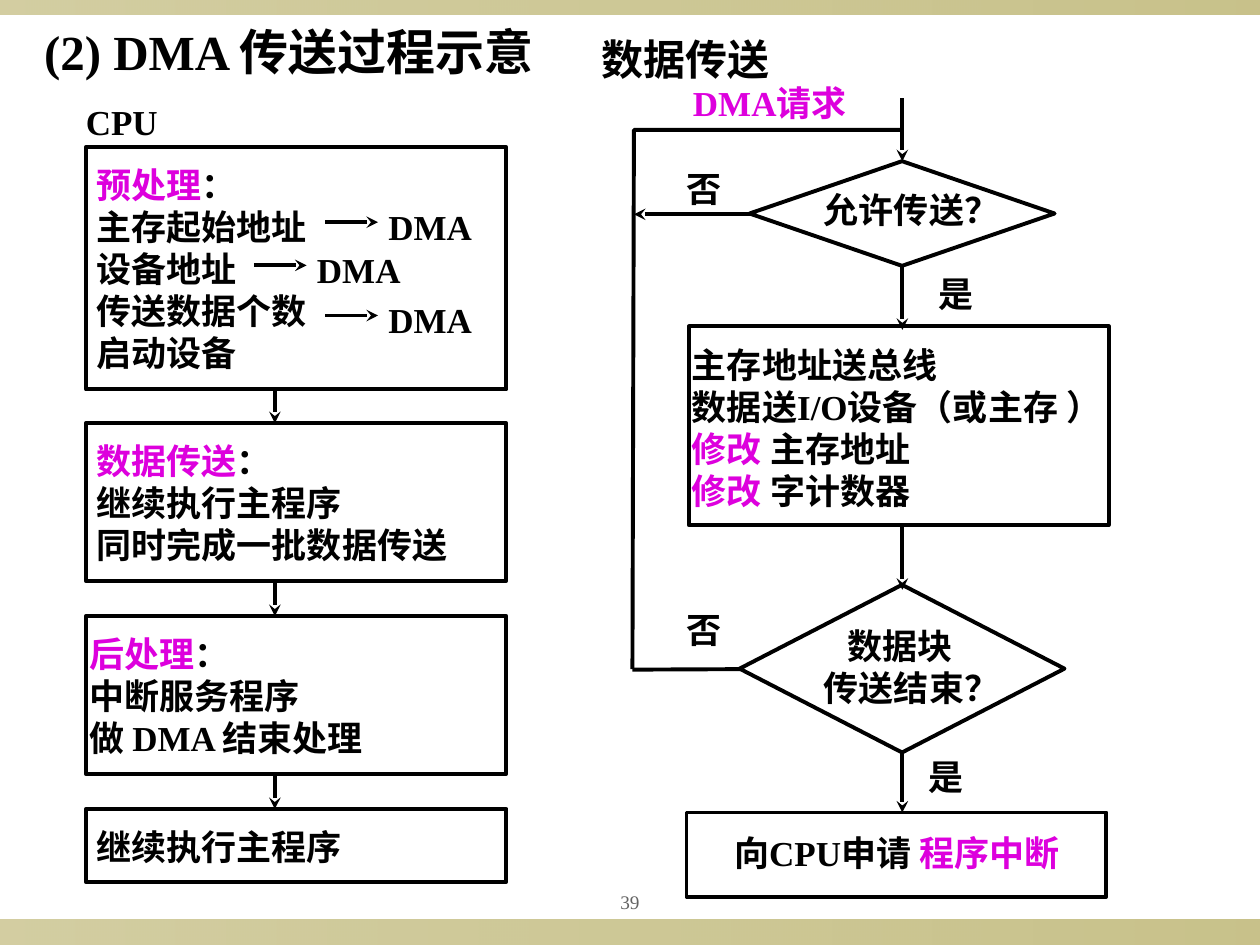
"""Build the slide on the DMA transfer process: CPU steps and transfer flowchart."""
from lxml import etree
from pptx import Presentation
from pptx import util as u
from pptx.dml import color
from pptx.enum import shapes, text
from pptx.oxml import ns

COLORS = {"ink": "000000", "accent": "DD00DD", "page": "636363", "band": "918415"}
FONT = "Times New Roman"
LINE_HEIGHT = 1.12


def rgb(name):
    """Return the named colour."""
    return color.RGBColor.from_string(COLORS[name])


def add_band(slide, top, height):
    """Add a translucent gradient band across the slide."""
    band = slide.shapes.add_shape(
        shapes.MSO_SHAPE.RECTANGLE, 0, u.Cm(top), u.Cm(25.4), u.Cm(height))
    band.shadow.inherit = False
    band.line.fill.background()
    band.fill.gradient()
    band.fill.gradient_angle = 0
    for stop, position in zip(band.fill.gradient_stops, (0, 1)):
        stop.position = position
        stop.color.rgb = rgb("band")
    for tint, alpha in zip(band._element.spPr.iter(ns.qn("a:srgbClr")), ("40000", "50000")):
        etree.SubElement(tint, ns.qn("a:alpha")).set("val", alpha)


def add_text(slide, left, top, width, lines, size=20, height=LINE_HEIGHT,
             ink="ink", bold=True, wrap=False):
    """Add lines of text, with the parts between asterisks in the accent colour."""
    box = slide.shapes.add_textbox(u.Cm(left), u.Cm(top), u.Cm(width), u.Cm(height))
    frame = box.text_frame
    frame.word_wrap = wrap
    frame.auto_size = text.MSO_AUTO_SIZE.SHAPE_TO_FIT_TEXT
    for index, line in enumerate(lines):
        paragraph = frame.add_paragraph() if index else frame.paragraphs[0]
        font = paragraph.font
        font.name, font.size, font.bold = FONT, u.Pt(size), bold
        font.color.rgb = rgb(ink)
        for part, words in enumerate(line.split("*")):
            if words:
                run = paragraph.add_run()
                run.text = words
                if part % 2:
                    run.font.color.rgb = rgb("accent")
    return frame


def style_outline(outline):
    """Give an outline the common stroke."""
    outline.color.rgb = rgb("ink")
    outline.width = u.Pt(2.25)


def add_node(slide, kind, left, top, width, height):
    """Add an unfilled flowchart node."""
    node = slide.shapes.add_shape(kind, u.Cm(left), u.Cm(top), u.Cm(width), u.Cm(height))
    node.shadow.inherit = False
    node.fill.background()
    style_outline(node.line)


def add_arrow(slide, x1, y1, x2, y2):
    """Add a straight arrow."""
    arrow = slide.shapes.add_connector(
        shapes.MSO_CONNECTOR.STRAIGHT, u.Cm(x1), u.Cm(y1), u.Cm(x2), u.Cm(y2))
    style_outline(arrow.line)
    etree.SubElement(arrow.line._get_or_add_ln(), ns.qn("a:tailEnd")).set("type", "stealth")
    etree.SubElement(arrow._element.spPr, ns.qn("a:effectLst"))


def add_route(slide, start, *corners):
    """Add an open line through the given points."""
    builder = slide.shapes.build_freeform(u.Cm(start[0]), u.Cm(start[1]))
    builder.add_line_segments([(u.Cm(x), u.Cm(y)) for x, y in corners], close=False)
    route = builder.convert_to_shape()
    route.shadow.inherit = False
    route.fill.background()
    style_outline(route.line)


def add_cpu_steps(slide):
    """Add the CPU column with its steps and arrows."""
    steps = [
        (2.97, 4.88, 1.7, 4.8, ["*预处理*：", "主存起始地址", "设备地址", "传送数据个数", "启动设备"]),
        (8.53, 3.18, 1.7, 7.6, ["*数据传送*：", "继续执行主程序", "同时完成一批数据传送"]),
        (12.42, 3.18, 1.55, 6.5, ["*后处理*：", "中断服务程序", "做 DMA 结束处理"]),
        (16.31, 1.47, 1.7, 5.5, ["继续执行主程序"]),
    ]
    for top, height, left, width, lines in steps:
        add_node(slide, shapes.MSO_SHAPE.RECTANGLE, 1.73, top, 8.48, height)
        add_text(slide, left, top + 0.21, width, lines, height=height - 0.38)
    for (top, height, *_), (next_top, *_) in zip(steps, steps[1:]):
        add_arrow(slide, 5.54, top + height, 5.54, next_top)
    for left, top in [(7.58, 4.01), (6.14, 4.88), (7.58, 5.89)]:
        add_text(slide, left, top, 2.3, ["DMA"])
        add_arrow(slide, left - 1.02, top + 0.47, left + 0.04, top + 0.47)
    add_text(slide, 1.48, 1.9, 2, ["CPU"])


def add_transfer_flow(slide):
    """Add the data transfer flowchart."""
    box, decision = shapes.MSO_SHAPE.RECTANGLE, shapes.MSO_SHAPE.DIAMOND
    add_node(slide, decision, 15.11, 3.25, 6.15, 2.11)
    add_node(slide, box, 13.89, 6.58, 8.46, 4.01)
    add_node(slide, decision, 14.91, 11.79, 6.55, 3.38)
    add_node(slide, box, 13.84, 16.38, 8.46, 1.7)

    add_text(slide, 16.36, 3.68, 4.1, ["允许传送？"])
    add_text(slide, 13.7, 6.8, 9.15,
             ["主存地址送总线", "数据送I/O设备（或主存 ）", "*修改* 主存地址", "*修改* 字计数器"],
             height=3.66)
    finished = add_text(slide, 16.36, 12.47, 4.1, ["数据块", "传送结束？"], height=1.96)
    finished.paragraphs[0]._p.get_or_add_pPr().set("indent", str(u.Cm(0.48)))
    add_text(slide, 14.55, 16.64, 7.6, ["向CPU申请 *程序中断*"])

    for top in (1.98, 5.38, 10.62, 15.11):
        add_arrow(slide, 18.19, top, 18.19, top + 1.27)
    add_route(slide, (14.93, 13.49), (12.75, 13.5))
    add_route(slide, (12.75, 13.49), (12.78, 2.62), (18.19, 2.62))
    add_arrow(slide, 15.11, 4.32, 12.78, 4.32)

    add_text(slide, 13.72, 1.52, 3.85, ["DMA请求"], ink="accent")
    for left, top, answer in [(13.59, 3.25, "否"), (13.59, 12.14, "否"),
                              (18.67, 5.36, "是"), (18.47, 15.11, "是")]:
        add_text(slide, left, top, 1.25, [answer])
    add_text(slide, 11.87, 0.56, 3.95, ["数据传送"], size=24, height=1.27)


def add_page_number(slide):
    """Add the centred page number."""
    frame = add_text(slide, 11.43, 17.78, 2.54, ["39"], size=11, height=0.79,
                     ink="page", bold=False, wrap=True)
    frame.auto_size = text.MSO_AUTO_SIZE.NONE
    frame.vertical_anchor = text.MSO_ANCHOR.MIDDLE
    frame.margin_left = frame.margin_right = u.Cm(0.13)
    frame.paragraphs[0].alignment = text.PP_ALIGN.CENTER


def main():
    """Build and save the slide."""
    deck = Presentation()
    deck.slide_width, deck.slide_height = u.Cm(25.4), u.Cm(19.05)
    slide = deck.slides.add_slide(deck.slide_layouts[6])
    add_band(slide, 18.54, 0.51)
    add_band(slide, 0, 0.3)
    add_page_number(slide)
    add_text(slide, 0.64, 0.3, 12.9, ["(2) DMA 传送过程示意"], size=28, height=1.45, wrap=True)
    add_cpu_steps(slide)
    add_transfer_flow(slide)
    deck.save("out.pptx")


if __name__ == "__main__":
    main()
